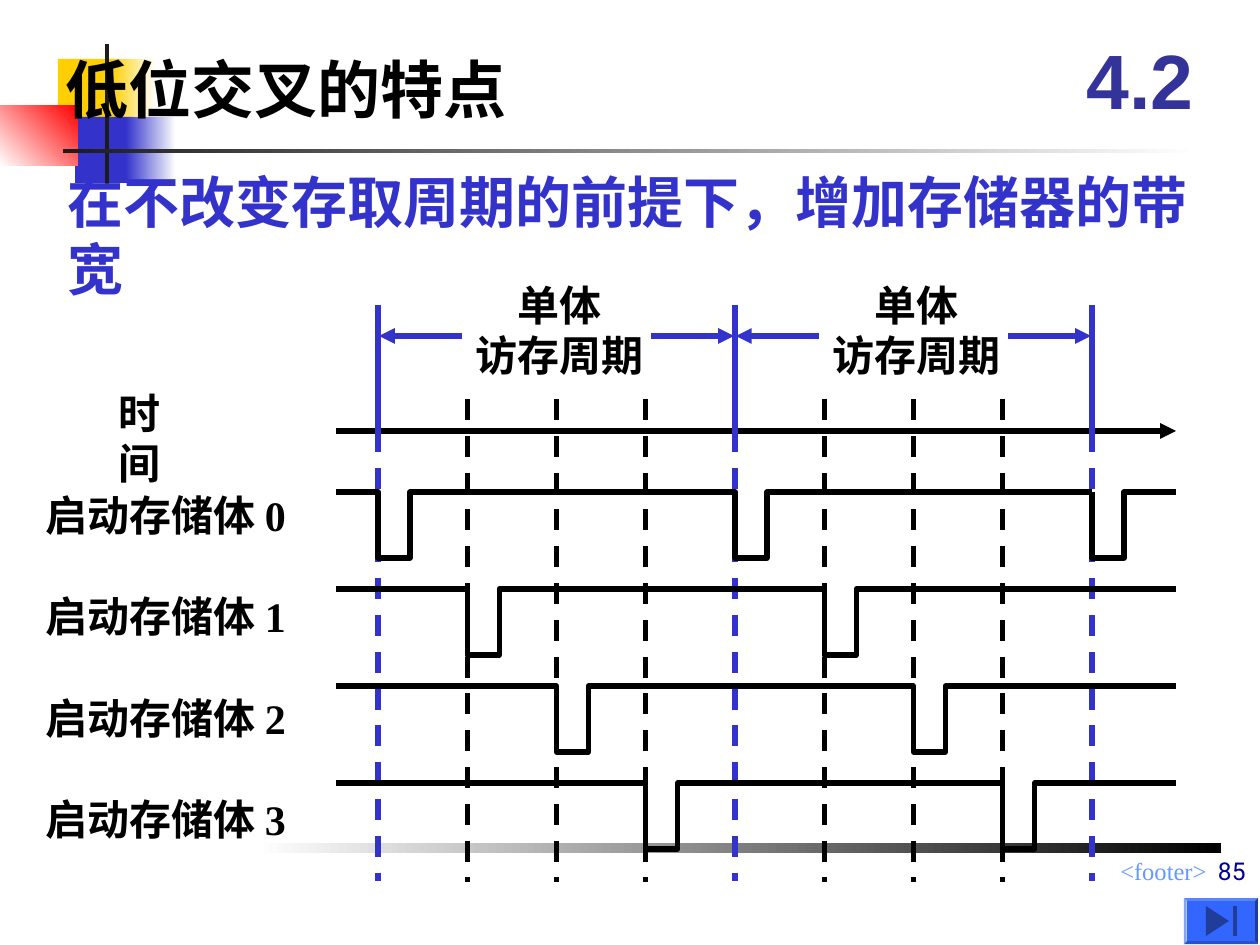
from pptx import Presentation
from pptx.dml.color import RGBColor
from pptx.enum.dml import MSO_LINE
from pptx.enum.shapes import MSO_CONNECTOR, MSO_SHAPE
from pptx.enum.text import MSO_ANCHOR, PP_ALIGN
from pptx.oxml.ns import qn
from pptx.util import Emu, Pt
from lxml.etree import SubElement

BLACK = RGBColor(0x00, 0x00, 0x00)
WHITE = RGBColor(0xFF, 0xFF, 0xFF)
INK = RGBColor(0x1C, 0x1C, 0x1C)
GOLD = RGBColor(0xFF, 0xCF, 0x01)
RED = RGBColor(0xFF, 0x00, 0x00)
BLUE = RGBColor(0x33, 0x33, 0xCC)
INDIGO = RGBColor(0x33, 0x33, 0x99)
NAVY = RGBColor(0x00, 0x00, 0x99)
SKY = RGBColor(0x66, 0x99, 0xFF)
BUTTON = RGBColor(0x33, 0x66, 0xFF)
BUTTON_DARK = RGBColor(0x1F, 0x3D, 0x99)

PX_PER_INCH = 126
PERIOD = 357      # one access cycle of a single bank
BANKS = 4
ROW_PITCH = 97    # distance between bank signals
PULSE_WIDTH, PULSE_DEPTH = 32, 66

HEADING = {"size": Pt(36), "name": "Times New Roman", "bold": True}
LABEL = {**HEADING, "size": Pt(24)}


def px(length):
    return Emu(round(length * 914400 / PX_PER_INCH))


def add_block(page, left, top, width, height, color, fade_to=None, angle=0,
              kind=MSO_SHAPE.RECTANGLE):
    block = page.shapes.add_shape(kind, px(left), px(top), px(width), px(height))
    block.shadow.inherit = False
    block.line.fill.background()
    if fade_to is None:
        block.fill.solid()
        block.fill.fore_color.rgb = color
    else:
        block.fill.gradient()
        block.fill.gradient_angle = angle
        for stop, stop_color in zip(block.fill.gradient_stops, (color, fade_to)):
            stop.color.rgb = stop_color
    return block


def add_text(page, left, top, width, height, lines, font, color=BLACK,
             align=PP_ALIGN.LEFT, anchor=MSO_ANCHOR.TOP, wrap=False):
    box = page.shapes.add_textbox(px(left), px(top), px(width), px(height))
    frame = box.text_frame
    frame.word_wrap = wrap
    frame.vertical_anchor = anchor
    for number, line in enumerate(lines):
        para = frame.paragraphs[0] if number == 0 else frame.add_paragraph()
        para.alignment = align
        span = para.add_run()
        span.text = line
        for attribute, value in font.items():
            setattr(span.font, attribute, value)
        span.font.color.rgb = color


def add_line(page, start, end, color=BLACK, dashed=False, arrow=False):
    line = page.shapes.add_connector(MSO_CONNECTOR.STRAIGHT,
                                     *(px(value) for value in start + end))
    line.line.width = Pt(3)
    line.line.color.rgb = color
    if dashed:
        line.line.dash_style = MSO_LINE.DASH
    properties = line.element.spPr
    if arrow:
        SubElement(properties.find(qn("a:ln")), qn("a:tailEnd"), type="triangle")
    SubElement(properties, qn("a:effectLst"))


def add_outline(page, points, closed=False):
    (first_x, first_y), *rest = [(px(x), px(y)) for x, y in points]
    builder = page.shapes.build_freeform(first_x, first_y)
    builder.add_line_segments(rest, close=closed)
    outline = builder.convert_to_shape()
    outline.shadow.inherit = False
    return outline


def add_signal(page, begin, pulses, end, level):
    """Draw a high level that drops for a short pulse at each given x."""
    points = [(begin, level)] if begin != pulses[0] else []
    for start in pulses:
        stop, low = start + PULSE_WIDTH, level + PULSE_DEPTH
        points += [(start, level), (start, low), (stop, low), (stop, level)]
    signal = add_outline(page, points + [(end, level)])
    signal.fill.background()
    signal.line.color.rgb = BLACK
    signal.line.width = Pt(3)


def draw_ornament(page, left, top):
    """Coloured squares, cross and rules behind the heading."""
    add_block(page, left + 58, top + 15, 60, 66, GOLD)
    add_block(page, left + 111, top + 15, 45, 66, GOLD, WHITE)
    add_block(page, left + 75, top + 73, 58, 66, BLUE)
    add_block(page, left + 126, top + 73, 50, 66, BLUE, WHITE)
    add_block(page, left, top + 62, 78, 60, RED, WHITE, angle=225)
    add_block(page, left + 105, top, 4, 145, INK)
    add_block(page, left + 63, top + 105, 1134, 4, INK, WHITE)
    add_block(page, left + 255, top + 799, 966, 10, WHITE, BLACK)


def draw_heading(page, left, top):
    add_text(page, left, top + 23, 466, 88, ["低位交叉的特点"], HEADING)
    add_text(page, left + 2, top + 140, 1202, 81,
             ["在不改变存取周期的前提下，增加存储器的带宽"],
             {**HEADING, "size": Pt(32)}, BLUE)
    add_text(page, left + 1008, top, 158, 116, ["4.2"],
             {"size": Pt(44), "name": "Arial", "bold": True}, INDIGO,
             PP_ALIGN.CENTER, MSO_ANCHOR.MIDDLE, wrap=True)


def draw_cycle_guides(page, left, top):
    """Dashed guides: black for banks 1 to 3, blue for whole cycles."""
    for bank in range(1, BANKS):
        for cycle in range(2):
            x = left + PERIOD * (cycle + bank / BANKS)
            add_line(page, (x, top + 94), (x, top + 577), dashed=True)
    for cycle in range(3):
        x = left + PERIOD * cycle
        add_line(page, (x, top + 126), (x, top + 576), BLUE, dashed=True)


def draw_timing(page, left, top):
    """Time axis and one signal for each bank."""
    begin, end = left - 42, left + 798
    add_line(page, (begin, top + 126), (end, top + 126), arrow=True)
    last_cycle = left + 2 * PERIOD
    for bank in range(BANKS):
        level = top + 187 + ROW_PITCH * bank
        pulses = [left + PERIOD * (cycle + bank / BANKS) for cycle in range(2)]
        add_signal(page, begin, pulses, end if bank else last_cycle, level)
        if bank == 0:
            add_signal(page, last_cycle, [last_cycle], end, level)


def draw_cycle_spans(page, left, top):
    """Named spans with arrows between the solid cycle marks."""
    arrow_y = top + 31
    for cycle in range(2):
        start = left + PERIOD * cycle
        end = start + PERIOD
        add_text(page, start + 85, top - 32, 193, 113, ["单体", "访存周期"],
                 LABEL, align=PP_ALIGN.CENTER)
        add_line(page, (start + 84, arrow_y), (start + 1, arrow_y), BLUE, arrow=True)
        add_line(page, (end - 84, arrow_y), (end - 1, arrow_y), BLUE, arrow=True)
    for cycle in range(3):
        x = left + PERIOD * cycle
        add_line(page, (x, top), (x, top + 136), BLUE)


def draw_row_labels(page, left, top):
    add_text(page, left + 73, top, 108, 63, ["时间"], LABEL)
    for bank in range(BANKS):
        add_text(page, left, top + 102 + 101.5 * bank, 276, 63,
                 [f"启动存储体 {bank}"], LABEL, wrap=True)


def draw_footer(page, left, top):
    add_text(page, left, top + 21, 725, 33, ["<footer>"],
             {"size": Pt(14), "name": "Times New Roman"}, SKY,
             PP_ALIGN.RIGHT, wrap=True)
    add_text(page, left + 162, top, 602, 63, ["85"],
             {"size": Pt(14), "name": "Roboto"}, NAVY,
             PP_ALIGN.RIGHT, MSO_ANCHOR.BOTTOM, wrap=True)


def draw_end_button(page, left, top):
    button = add_block(page, left, top, 74, 46, BUTTON, kind=MSO_SHAPE.BEVEL)
    button.adjustments[0] = 0.06
    triangle = add_outline(page, [(left + 22, top + 8), (left + 45, top + 23),
                                  (left + 22, top + 38)], closed=True)
    triangle.fill.solid()
    triangle.fill.fore_color.rgb = BUTTON_DARK
    triangle.line.fill.background()
    add_block(page, left + 49, top + 8, 4, 30, BUTTON_DARK)


def main():
    deck = Presentation()
    deck.slide_width, deck.slide_height = px(1260), px(945)
    page = deck.slides.add_slide(deck.slide_layouts[6])
    draw_ornament(page, 0, 44)
    draw_cycle_guides(page, 378, 305)
    draw_heading(page, 53, 21)
    draw_timing(page, 378, 305)
    draw_cycle_spans(page, 378, 305)
    draw_row_labels(page, 33, 381)
    draw_footer(page, 494, 829)
    draw_end_button(page, 1184, 898)
    deck.save("out.pptx")


if __name__ == "__main__":
    main()
